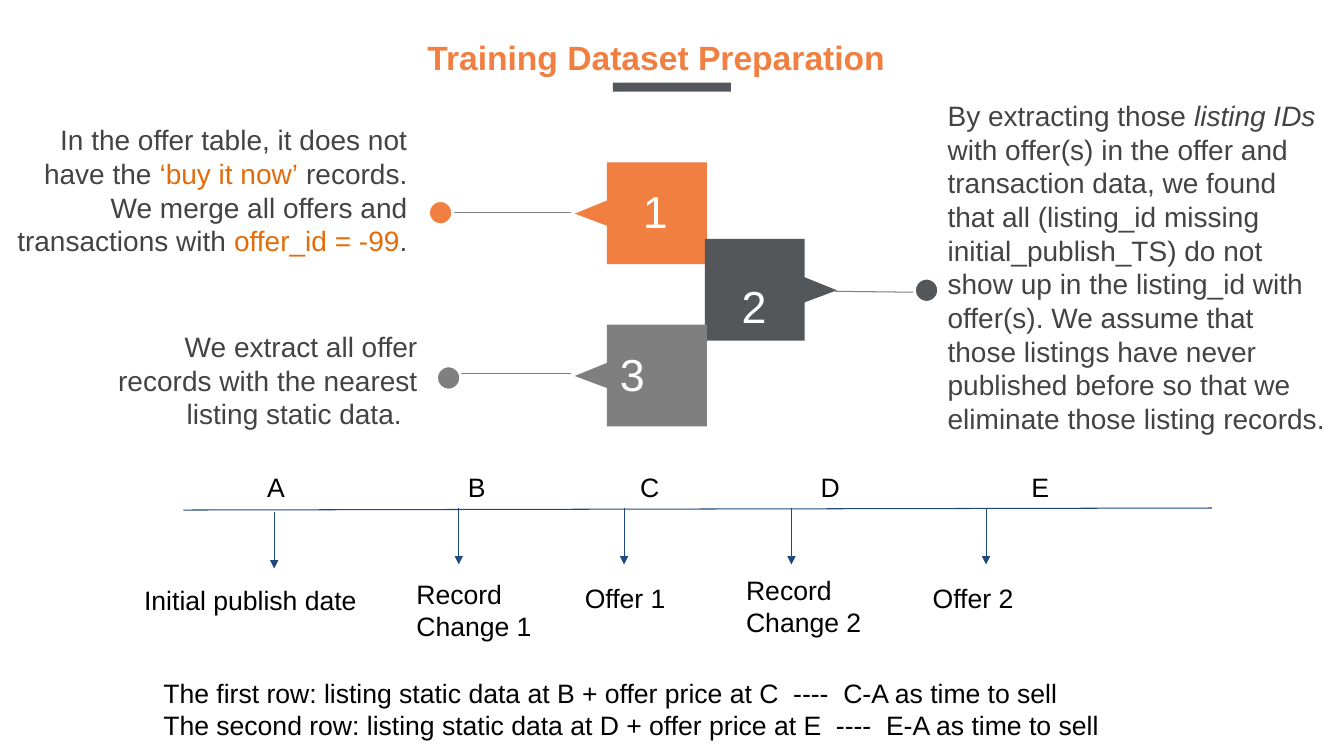
from dataclasses import dataclass

from lxml import etree
from pptx import Presentation
from pptx.dml.color import RGBColor
from pptx.enum.shapes import MSO_CONNECTOR as CONN, MSO_SHAPE as SHAPE
from pptx.enum.text import PP_ALIGN as ALIGN
from pptx.oxml.ns import qn
from pptx.util import Inches, Pt


@dataclass(frozen=True)
class Theme:
    font: str = "Arial"
    orange: str = "F17F42"
    accent: str = "E36C09"
    dark: str = "53575A"
    gray: str = "7F7F7F"
    body: str = "434343"
    navy: str = "1F497D"
    white: str = "FFFFFF"
    black: str = "000000"
    title_size: int = 24
    body_size: int = 20
    label_size: int = 19
    number_size: int = 32


T = Theme()


class Deck:
    def __init__(self, prs, theme):
        self.theme = theme
        self.slide = prs.slides.add_slide(prs.slide_layouts[6])
        self.shapes = self.slide.shapes

    def text(self, box, paras, size, color, inset=(0.1, 0.05), align=ALIGN.LEFT,
             indent=0, tabs=()):
        """Each paragraph is a list of (text, font overrides) runs."""
        sp = self.shapes.add_textbox(*map(Inches, box))
        tf = sp.text_frame
        tf.word_wrap = True
        x, y = map(Inches, inset)
        frame = dict(margin_left=x, margin_right=x, margin_top=y, margin_bottom=y)
        for name, value in frame.items():
            setattr(tf, name, value)
        for i, runs in enumerate(paras):
            p = tf.add_paragraph() if i else tf.paragraphs[0]
            p.alignment = align
            pPr = p._p.get_or_add_pPr()
            if indent:
                pPr.set("marL", str(Inches(indent)))
            if tabs:
                tab_list = etree.SubElement(pPr, qn("a:tabLst"))
                for pos in tabs:
                    etree.SubElement(tab_list, qn("a:tab"), pos=str(Inches(pos)), algn="l")
            for text, extra in runs:
                r = p.add_run()
                r.text = text
                fmt = {"name": self.theme.font, "size": Pt(size), "color": color, **extra}
                r.font.color.rgb = RGBColor.from_string(fmt.pop("color"))
                for name, value in fmt.items():
                    setattr(r.font, name, value)

    def paint(self, sp, fill, line=None):
        sp.shadow.inherit = False
        sp.fill.solid()
        sp.fill.fore_color.rgb = RGBColor.from_string(fill)
        if line:
            sp.line.color.rgb = RGBColor.from_string(line)
            sp.line.width = Pt(2)
        else:
            sp.line.fill.background()

    def shape(self, kind, box, fill, line=None):
        self.paint(self.shapes.add_shape(kind, *map(Inches, box)), fill, line)

    def callout(self, base, top, side, fill):
        """Square with a pointer; side is -1 for left, 1 for right of the base edge."""
        edge = base + side * 0.99
        points = [(base, top + 1.01), (edge, top + 1.01), (edge, top + 0.63),
                  (edge + side * 0.32, top + 0.51), (edge, top + 0.38), (edge, top)]
        fb = self.shapes.build_freeform(Inches(base), Inches(top))
        fb.add_line_segments([(Inches(x), Inches(y)) for x, y in points], close=True)
        self.paint(fb.convert_to_shape(), fill)

    def line(self, start, end, color, arrow=False):
        c = self.shapes.add_connector(CONN.STRAIGHT, *map(Inches, (*start, *end)))
        c.line.color.rgb = RGBColor.from_string(color)
        c.line.width = Pt(0.75)
        if arrow:
            etree.SubElement(c.line._get_or_add_ln(), qn("a:tailEnd"), type="triangle")
        etree.SubElement(c._element.spPr, qn("a:effectLst"))


def add_steps(deck):
    for base, top, side, fill in [(7.01, 1.61, -1, T.orange), (6.99, 2.37, 1, T.dark),
                                  (7.01, 3.22, -1, T.gray)]:
        deck.callout(base, top, side, fill)

    accent = {"color": T.accent}
    notes = [
        ((9.3, 0.93, 3.95, 3.79), ALIGN.LEFT, 0, [
            ("By extracting those ", {}),
            ("listing IDs ", {"italic": True}),
            ("with offer(s) in the offer and transaction data, we found that all "
             "(listing_id missing initial_publish_TS) do not show up in the listing_id "
             "with offer(s). We assume that those listings have never published before "
             "so that we eliminate those listing records.", {})]),
        ((0, 1.17, 4.14, 1.88), ALIGN.RIGHT, 0, [
            ("In the offer table, it does not have the ", {}),
            ("‘buy it now’", accent),
            (" records. We merge all offers and transactions with ", {}),
            ("offer_id = -99", accent),
            (". ", {})]),
        ((0.1, 3.22, 4.14, 1.11), ALIGN.RIGHT, 0.67, [
            ("We extract all offer records with the nearest listing static data.  ", {})]),
    ]
    for box, align, indent, runs in notes:
        deck.text(box, [runs], T.body_size, T.body, align=align, indent=indent)

    for start, end in [((8.28, 2.89), (9.15, 2.9)), ((4.37, 2.11), (5.66, 2.11)),
                       ((4.37, 3.71), (5.66, 3.71))]:
        deck.line(start, end, T.gray)
    for number, x, y, align in [("1", 6, 1.77, ALIGN.CENTER), ("3", 6.05, 3.39, ALIGN.LEFT),
                                ("2", 6.98, 2.72, ALIGN.CENTER)]:
        deck.text((x, y, 1, 0.64), [[(number, {})]], T.number_size, T.white, align=align)
    for x, y, fill in [(4.25, 1.99, T.orange), (4.33, 3.63, T.gray), (9.07, 2.76, T.dark)]:
        deck.shape(SHAPE.OVAL, (x, y, 0.24, 0.24), fill, T.white)


def add_timeline(deck):
    deck.line((1.82, 5.06), (12.02, 5.04), T.navy)
    for x, y in [(2.72, 5.08), (4.55, 5.04), (6.19, 5.04), (7.85, 5.04), (9.78, 5.04)]:
        deck.line((x, y), (x, y + 0.56), T.navy, arrow=True)

    labels = [
        ((1.3, 5.66, 2.43, 0.65), ["Initial publish date"], ()),
        ((4, 5.6, 1.57, 0.65), ["Record", "Change 1"], ()),
        ((5.67, 5.64, 1.32, 0.65), ["Offer 1"], ()),
        ((7.27, 5.56, 1.67, 0.65), ["Record", "Change 2"], ()),
        ((9.12, 5.64, 1.32, 0.65), ["Offer 2"], ()),
        ((2.52, 4.54, 8.44, 0.65), ["\t".join("ABCDE")], (1.99, 3.7, 5.49, 7.58)),
        ((1.49, 6.59, 11.22, 0.72), [
            "The first row: listing static data at B + offer price at C  ----  C-A as time to sell",
            "The second row: listing static data at D + offer price at E  ----  E-A as time to sell",
        ], ()),
    ]
    for box, lines, tabs in labels:
        deck.text(box, [[(text, {})] for text in lines], T.label_size, T.black,
                  inset=(0.13, 0.13), tabs=tabs)


def main():
    prs = Presentation()
    prs.slide_width, prs.slide_height = Inches(13.33), Inches(7.5)
    deck = Deck(prs, T)
    deck.text((4.14, 0.32, 5.05, 0.5), [[("Training Dataset Preparation", {"bold": True})]],
              T.title_size, T.orange)
    deck.shape(SHAPE.RECTANGLE, (6.08, 0.82, 1.17, 0.09), T.dark)
    add_steps(deck)
    add_timeline(deck)
    prs.save("out.pptx")


if __name__ == "__main__":
    main()
